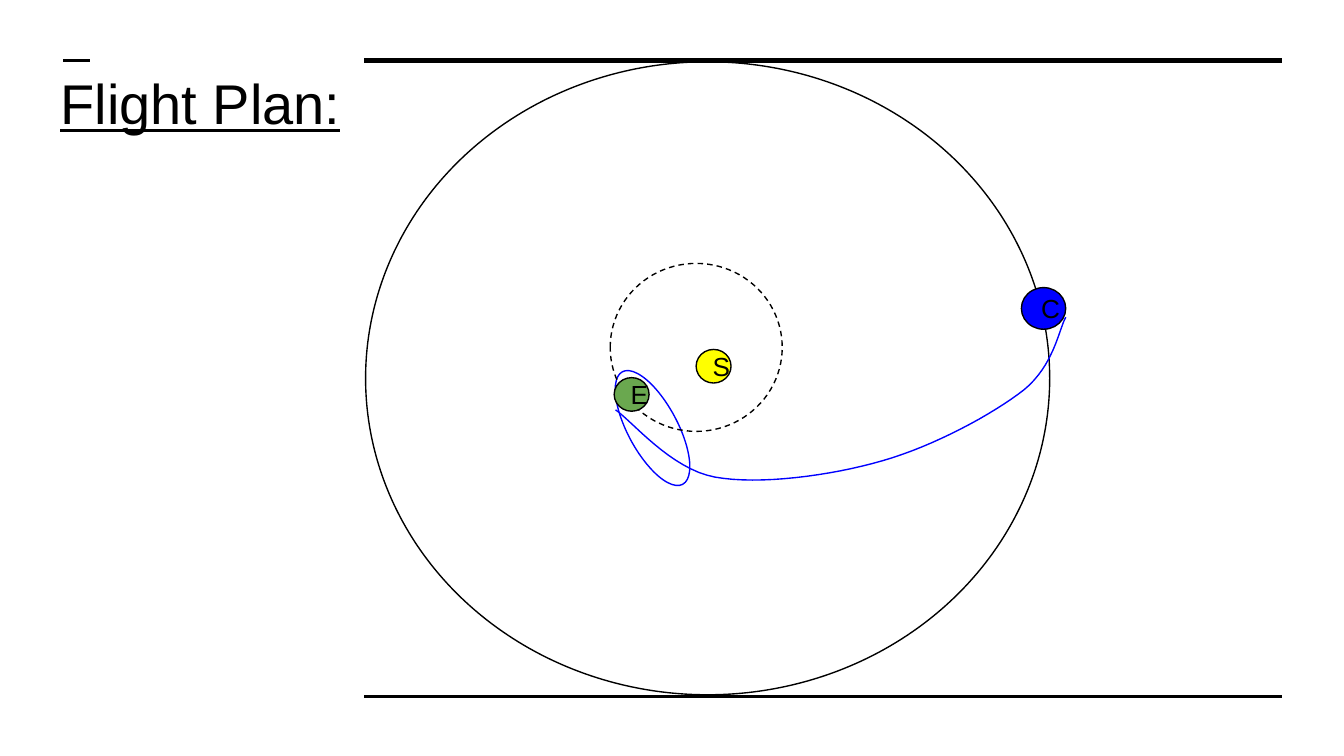
from pptx import Presentation
from pptx.dml.color import RGBColor
from pptx.enum.dml import MSO_LINE
from pptx.enum.shapes import MSO_CONNECTOR, MSO_SHAPE
from pptx.enum.text import MSO_ANCHOR, MSO_AUTO_SIZE, PP_ALIGN
from pptx.oxml.ns import qn
from pptx.util import Pt
from lxml import etree

OVAL = MSO_SHAPE.OVAL
DASH = MSO_LINE.DASH
LINE = MSO_CONNECTOR.STRAIGHT
LEFT = PP_ALIGN.LEFT
TOP, MID = MSO_ANCHOR.TOP, MSO_ANCHOR.MIDDLE
BLACK = RGBColor(0, 0, 0)
BLUE = RGBColor(0, 0, 255)
YELLOW = RGBColor(255, 255, 0)
GREEN = RGBColor(0x6A, 0xA8, 0x4F)
FONT = "Arial"
PAD = 7.2
THIN = 0.75

# Content, in points
TITLE = ("Flight Plan:", (25.2, 26.64, 187.2, 46.8))
# Rules: left, right, height on page, weight
RULES = [(195.1, 686.9, 32.4, 3), (195.1, 686.9, 373, 1.5),
         (33.84, 48.24, 32.4, 1.5)]
# Orbits: box, turn, colour, dash
OUTER = ((195.84, 33.12, 366.48, 339.12), 0, BLACK, None)
LOOP = ((315.36, 216, 68.4, 26.64), 61.8, BLUE, None)
INNER = ((326.88, 141.12, 92.16, 90), 0, BLACK, DASH)
# Bodies: letter, box, fill
COMET = ("C", (547.2, 154.08, 23.76, 22.32), BLUE)
SUN = ("S", (372.96, 187.2, 18.72, 18), YELLOW)
EARTH = ("E", (329.04, 202.32, 18.72, 18), GREEN)
# Flight path: start, then two handles and an end for each curve
START = (570.96, 169.92)
CURVES = [((567.36, 176.4), (564.48, 195.84), (548.64, 208.8)),
          ((532.08, 221.76), (500.4, 239.04), (472.32, 246.96)),
          ((444.96, 254.88), (406.8, 259.92), (383.04, 255.6)),
          ((359.28, 251.28), (338.4, 225.36), (329.76, 219.6))]
STEPS = 16

deck = Presentation()
deck.slide_width, deck.slide_height = Pt(720), Pt(405)
slide = deck.slides.add_slide(deck.slide_layouts[5])
shapes = slide.shapes


def stroke(shape, color, width=THIN, dash=None):
    shape.line.color.rgb = color
    shape.line.width = Pt(width)
    if dash:
        shape.line.dash_style = dash


def write(shape, text, size, anchor):
    frame = shape.text_frame
    frame.word_wrap = True
    frame.auto_size = MSO_AUTO_SIZE.NONE
    frame.vertical_anchor = anchor
    frame.margin_left = frame.margin_right = Pt(PAD)
    frame.margin_top = frame.margin_bottom = Pt(PAD)
    para = frame.paragraphs[0]
    para.alignment = LEFT
    run = para.add_run()
    run.text = text
    run.font.name, run.font.size = FONT, Pt(size)
    run.font.color.rgb = BLACK
    return para, run


def ring(box, turn, color, dash):
    oval = shapes.add_shape(OVAL, *map(Pt, box))
    oval.shadow.inherit = False
    oval.fill.background()
    oval.rotation = turn
    stroke(oval, color, dash=dash)
    return oval


def body(text, box, color):
    disc = ring(box, 0, BLACK, None)
    disc.fill.solid()
    disc.fill.fore_color.rgb = color
    write(disc, text, 14, MID)


def trace(start, curves):
    """Points along a chain of cubic curves."""
    points = [start]
    for a, b, end in curves:
        p = points[-1]
        for i in range(1, STEPS + 1):
            t = i / STEPS
            u = 1 - t
            points.append(tuple(
                u**3 * p[k] + 3 * u * u * t * a[k]
                + 3 * u * t * t * b[k] + t**3 * end[k] for k in (0, 1)))
    return points


# Title
title = shapes.title
text, box = TITLE
title.left, title.top, title.width, title.height = map(Pt, box)
para, run = write(title, text, 30, TOP)
para.line_spacing = 1.08
run.font.underline = True

# Rules
for left, right, y, width in RULES:
    rule = shapes.add_connector(LINE, Pt(left), Pt(y), Pt(right), Pt(y))
    stroke(rule, BLACK, width)
    etree.SubElement(rule._element.spPr, qn("a:effectLst"))

# Orbits, bodies and flight path, back to front
ring(*OUTER)
body(*COMET)
body(*SUN)
ring(*LOOP)

first, *rest = trace(START, CURVES)
pen = shapes.build_freeform(Pt(first[0]), Pt(first[1]))
pen.add_line_segments([(Pt(x), Pt(y)) for x, y in rest], close=False)
flight = pen.convert_to_shape()
flight.shadow.inherit = False
flight.fill.background()
stroke(flight, BLUE)

ring(*INNER)
body(*EARTH)

deck.save("out.pptx")
